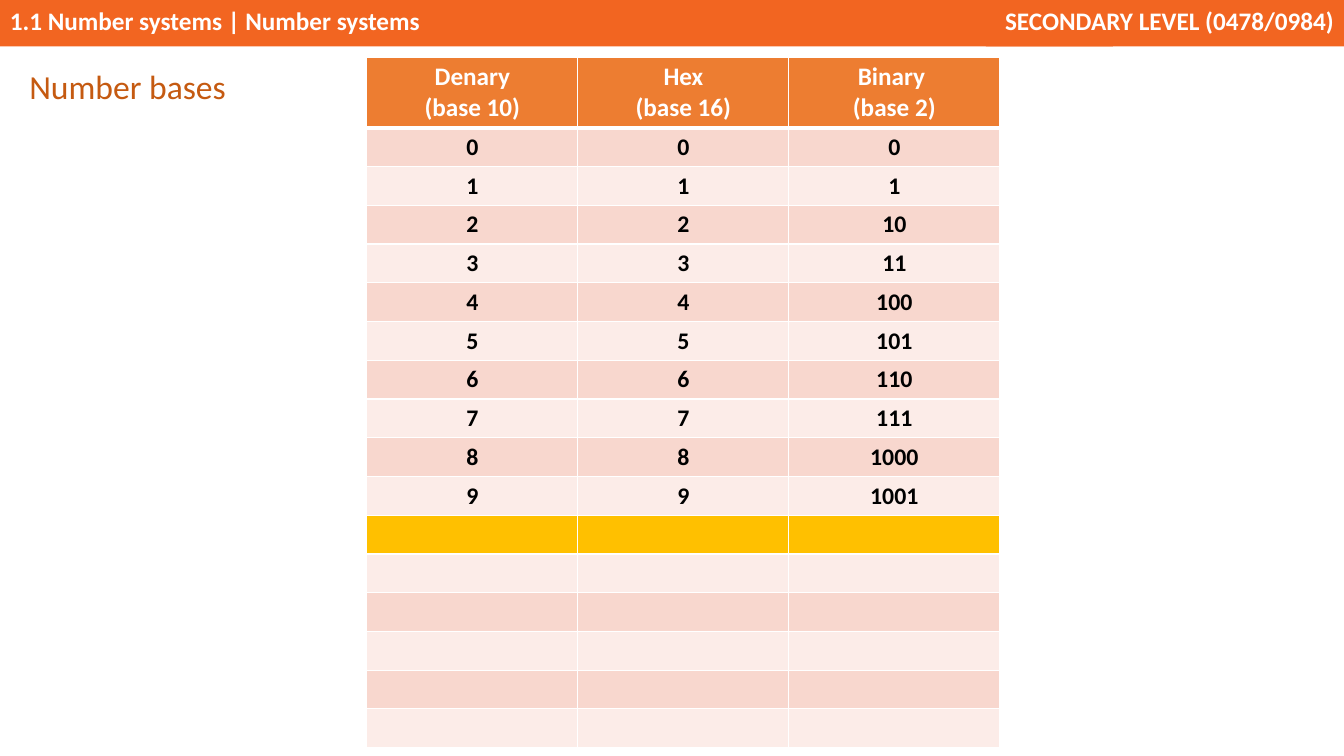
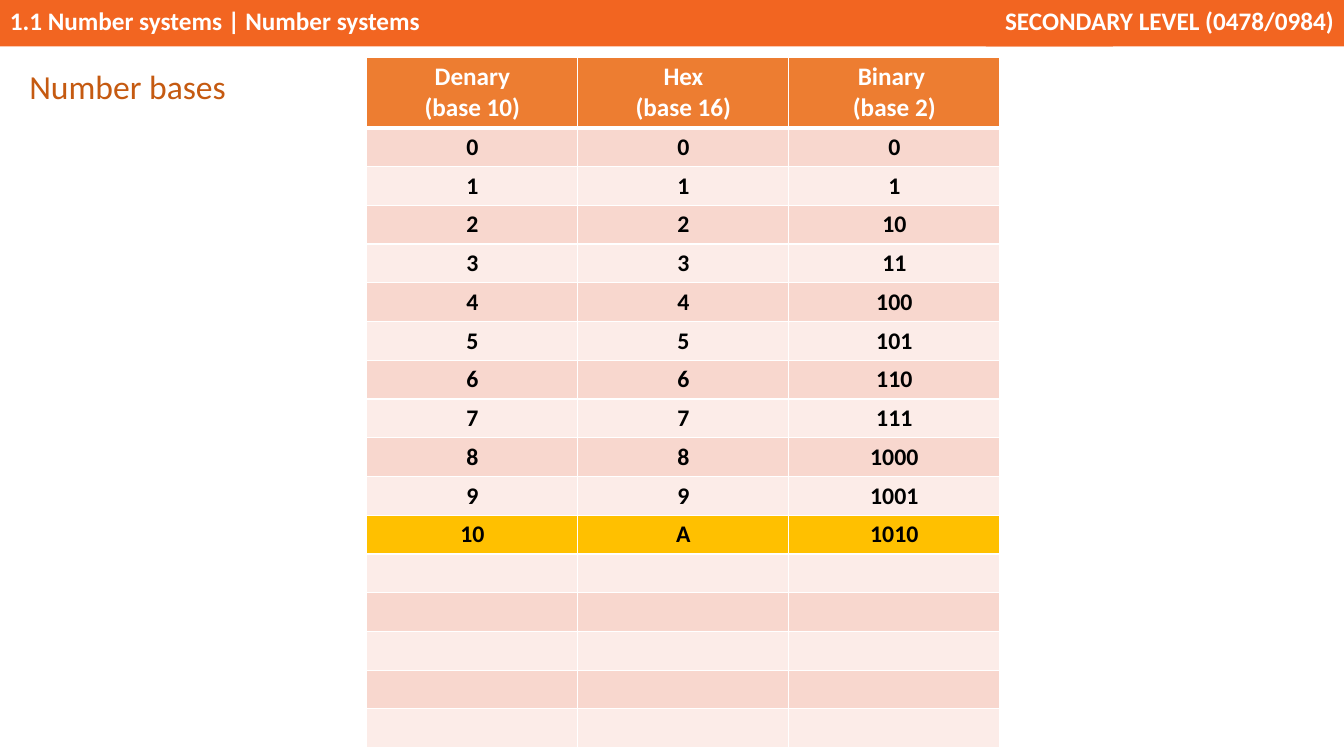
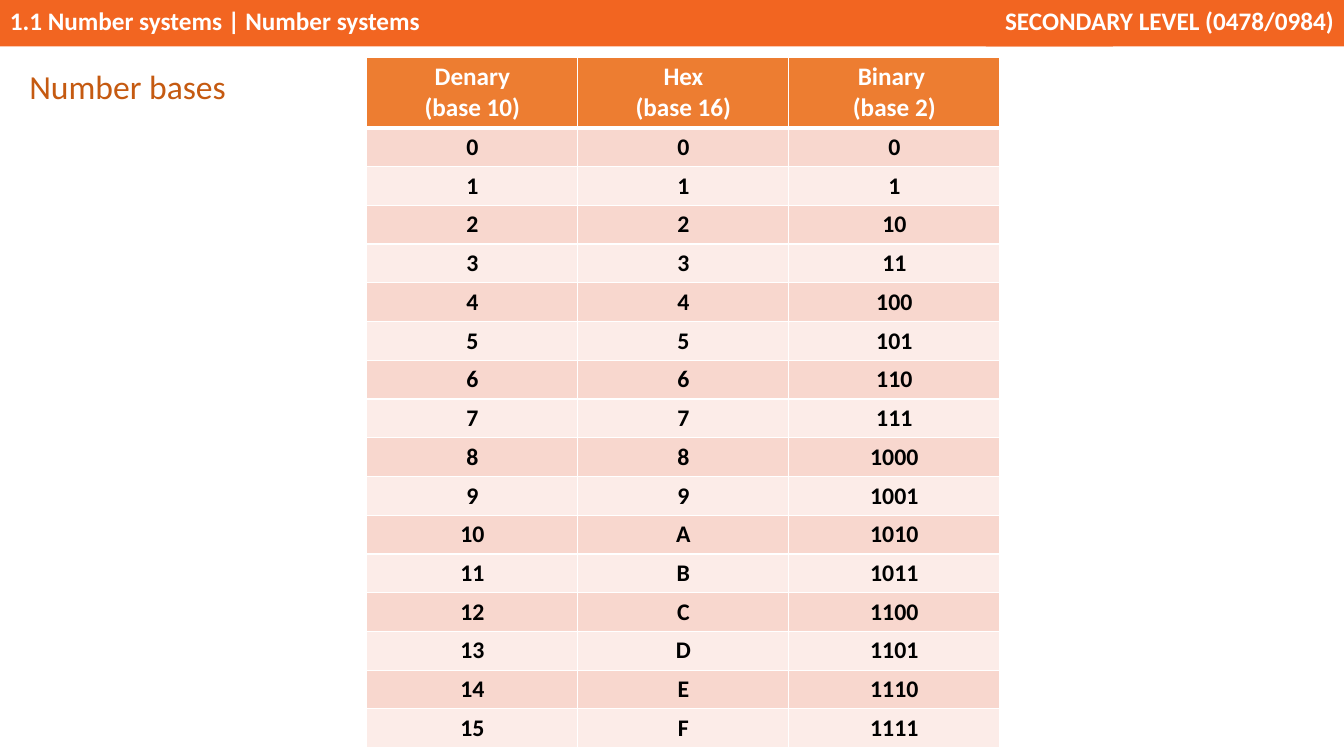
"""Build three slides that compare denary, hexadecimal and binary numbers."""
import dataclasses
import typing

import lxml.etree
import pptx
import pptx.dml.color
import pptx.enum.shapes
import pptx.enum.text
import pptx.oxml.ns
import pptx.presentation
import pptx.slide
import pptx.table
import pptx.text.text
import pptx.util

WIDTH = pptx.util.Inches(13.33)
HEIGHT = pptx.util.Inches(7.5)
ALIGN = pptx.enum.text.PP_ALIGN
ANCHOR = pptx.enum.text.MSO_ANCHOR


@dataclasses.dataclass(frozen=True)
class Theme:
    """Colours in RRGGBB and sizes in points."""

    font: str = "Calibri"
    band: str = "F26521"
    title: str = "C55A11"
    header: str = "ED7D31"
    stripes: tuple[str, str] = ("F8D7CE", "FCECE8")
    highlight: str = "FFC000"
    light: str = "FFFFFF"
    dark: str = "000000"
    title_size: int = 24
    heading_size: int = 18
    number_size: int = 17
    thin_line: int = 1
    thick_line: int = 3


THEME = Theme()


@dataclasses.dataclass(frozen=True)
class Box:
    """A rectangle in percent of the slide's size."""

    left: float
    top: float
    width: float
    height: float

    def lengths(self) -> tuple[int, int, int, int]:
        """Return left, top, width and height as slide lengths."""
        return (
            round(WIDTH * self.left / 100),
            round(HEIGHT * self.top / 100),
            round(WIDTH * self.width / 100),
            round(HEIGHT * self.height / 100),
        )


@dataclasses.dataclass(frozen=True)
class Band:
    """One text band at the top of every slide."""

    text: str
    box: Box
    alignment: ALIGN


@dataclasses.dataclass(frozen=True)
class NumberBase:
    """One table column: its heading and number format."""

    heading: str
    number_format: str


@dataclasses.dataclass(frozen=True)
class Step:
    """How many numbers a slide fills in and which one it highlights."""

    filled: int
    highlighted: typing.Optional[int] = None


BANDS = (
    Band("1.1 Number systems | Number systems", Box(0, 0, 82.8, 6.13), ALIGN.LEFT),
    Band("SECONDARY LEVEL (0478/0984)", Box(73.35, 0, 26.65, 6.13), ALIGN.RIGHT),
)
BASES = (
    NumberBase("Denary\n(base 10)", "d"),
    NumberBase("Hex\n(base 16)", "X"),
    NumberBase("Binary \n(base 2)", "b"),
)
STEPS = (Step(10, 10), Step(11, 10), Step(16))
NUMBER_COUNT = 16
TITLE_BOX = Box(1.43, 7.7, 16.28, 6.8)
TABLE_BOX = Box(27.3, 7.6, 47.1, 91.33)
HEADER_PERCENT = 10.2
CELL_MARGIN = pptx.util.Inches(0.03)


def colour(value: str) -> pptx.dml.color.RGBColor:
    """Turn RRGGBB into a colour."""
    return pptx.dml.color.RGBColor.from_string(value)


def format_text(
    text_frame: pptx.text.text.TextFrame, size: int, value: str, bold: bool, alignment: ALIGN
) -> None:
    """Format all runs and align all paragraphs of a text frame."""
    for paragraph in text_frame.paragraphs:
        paragraph.alignment = alignment
        for run in paragraph.runs:
            run.font.name = THEME.font
            run.font.size = pptx.util.Pt(size)
            run.font.bold = bold
            run.font.color.rgb = colour(value)


def add_bands(slide: pptx.slide.Slide) -> None:
    """Draw the bands and hand them to the layout that all slides share."""
    for band in BANDS:
        shape = slide.shapes.add_shape(
            pptx.enum.shapes.MSO_SHAPE.RECTANGLE, *band.box.lengths()
        )
        shape.shadow.inherit = False
        shape.fill.solid()
        shape.fill.fore_color.rgb = colour(THEME.band)
        shape.line.fill.background()
        shape.text_frame.text = band.text
        shape.text_frame.vertical_anchor = ANCHOR.TOP
        format_text(shape.text_frame, THEME.heading_size, THEME.light, True, band.alignment)
        slide.slide_layout.shapes.element.append(shape.element)


def add_title(slide: pptx.slide.Slide, text: str) -> None:
    """Fill and place the title placeholder."""
    title = slide.shapes.title
    title.left, title.top, title.width, title.height = TITLE_BOX.lengths()
    text_frame = title.text_frame
    text_frame.text = text
    text_frame.word_wrap = False
    text_frame.auto_size = pptx.enum.text.MSO_AUTO_SIZE.SHAPE_TO_FIT_TEXT
    text_frame.vertical_anchor = ANCHOR.TOP
    text_frame.paragraphs[0].line_spacing = 1.07
    text_frame.paragraphs[0].space_after = pptx.util.Pt(8)
    format_text(text_frame, THEME.title_size, THEME.title, False, ALIGN.LEFT)


def add_borders(cell: pptx.table._Cell, top: int, bottom: int) -> None:
    """Give a cell light borders of the stated widths."""
    properties = cell._tc.get_or_add_tcPr()
    widths = {"lnL": THEME.thin_line, "lnR": THEME.thin_line, "lnT": top, "lnB": bottom}
    for tag, width in widths.items():
        line = lxml.etree.SubElement(
            properties, pptx.oxml.ns.qn(f"a:{tag}"), w=str(pptx.util.Pt(width))
        )
        fill = lxml.etree.SubElement(line, pptx.oxml.ns.qn("a:solidFill"))
        lxml.etree.SubElement(fill, pptx.oxml.ns.qn("a:srgbClr"), val=THEME.light)


def fill_cell(
    cell: pptx.table._Cell, text: str, fill: str, size: int, text_colour: str
) -> None:
    """Write, format and fill one bordered cell."""
    cell.margin_top = cell.margin_bottom = CELL_MARGIN
    cell.vertical_anchor = ANCHOR.MIDDLE
    cell.fill.solid()
    cell.fill.fore_color.rgb = colour(fill)
    cell.text_frame.text = text
    format_text(cell.text_frame, size, text_colour, True, ALIGN.CENTER)


def add_number_table(slide: pptx.slide.Slide, step: Step) -> None:
    """Draw the table of numbers in each base."""
    left, top, width, height = TABLE_BOX.lengths()
    table = slide.shapes.add_table(
        NUMBER_COUNT + 1, len(BASES), left, top, width, height
    ).table
    table.horz_banding = False
    header_height = round(height * HEADER_PERCENT / 100)
    for row in table.rows:
        row.height = (height - header_height) // NUMBER_COUNT
    table.rows[0].height = header_height

    for column, base in enumerate(BASES):
        header = table.cell(0, column)
        add_borders(header, THEME.thin_line, THEME.thick_line)
        fill_cell(header, base.heading, THEME.header, THEME.heading_size, THEME.light)
        for number in range(NUMBER_COUNT):
            cell = table.cell(number + 1, column)
            add_borders(cell, THEME.thin_line if number else THEME.thick_line, THEME.thin_line)
            text = format(number, base.number_format) if number < step.filled else ""
            highlighted = number == step.highlighted
            fill = THEME.highlight if highlighted else THEME.stripes[number % 2]
            fill_cell(cell, text, fill, THEME.number_size, THEME.dark)


def main() -> None:
    """Build and save the presentation."""
    presentation = pptx.Presentation()
    presentation.slide_width, presentation.slide_height = WIDTH, HEIGHT
    layout = presentation.slide_layouts.get_by_name("Title Only")
    for position, step in enumerate(STEPS):
        slide = presentation.slides.add_slide(layout)
        if position == 0:
            add_bands(slide)
        add_title(slide, "Number bases")
        add_number_table(slide, step)
    presentation.save("out.pptx")


if __name__ == "__main__":
    main()
